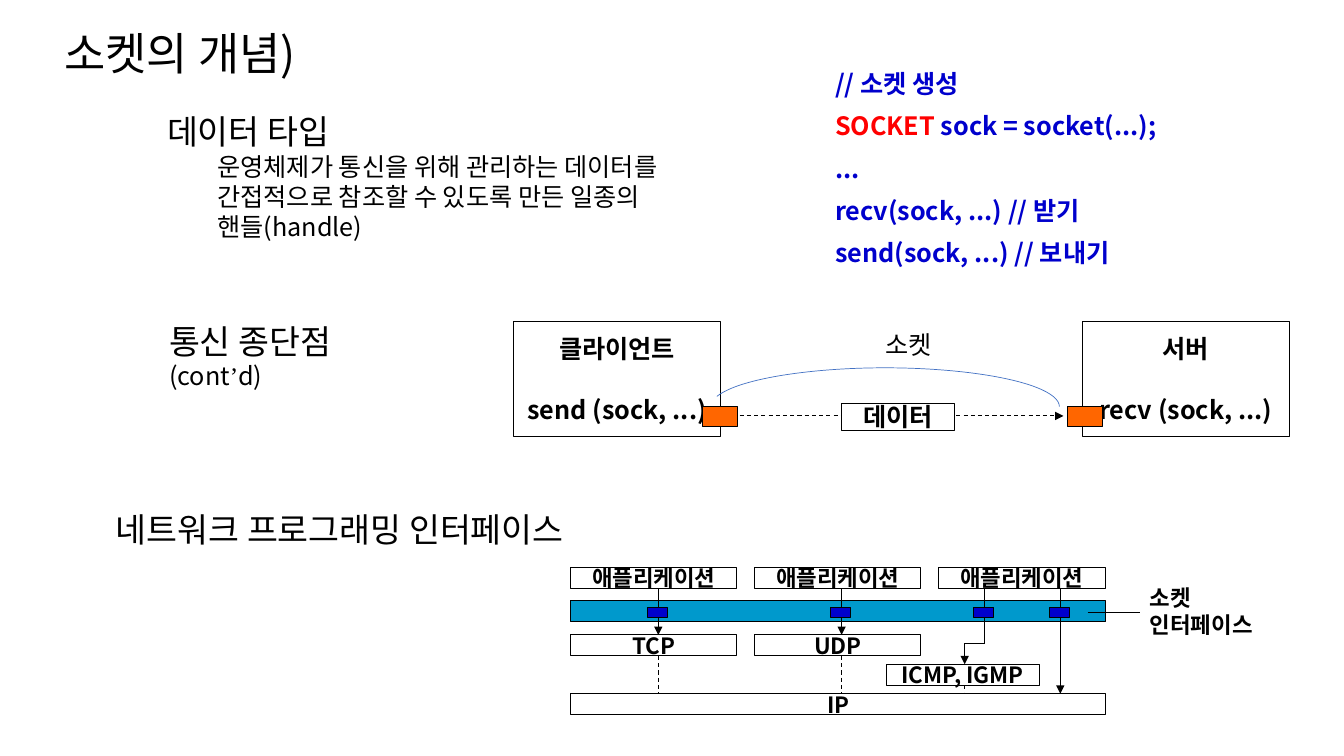
"""Build a slide that explains the concept of a socket."""
import dataclasses

import pptx
import pptx.dml.color
import pptx.enum.dml
import pptx.enum.shapes
import pptx.enum.text
import pptx.oxml.ns
import pptx.util

Cm, Pt = pptx.util.Cm, pptx.util.Pt
RGB = pptx.dml.color.RGBColor.from_string
MSO_SHAPE = pptx.enum.shapes.MSO_SHAPE
ALIGN = pptx.enum.text.PP_ALIGN
ANCHOR = pptx.enum.text.MSO_ANCHOR
qn = pptx.oxml.ns.qn


@dataclasses.dataclass(frozen=True)
class Theme:
    """Fonts, colours and type sizes."""
    font: str = "Noto Sans CJK KR"
    quote_font: str = "Times New Roman"
    ink: str = "000000"
    paper: str = "FFFFFF"
    code: str = "0000CC"
    keyword: str = "FF0000"
    endpoint: str = "FF6600"
    band: str = "0099CC"
    port: str = "0000CC"
    arc: str = "4472C4"
    title: int = 32
    heading: int = 24
    body: int = 18
    label: int = 16


T = Theme()


def style_run(r, size, color=T.ink, bold=False, font=T.font):
    """Format one run, for Latin and East Asian text."""
    r.font.size, r.font.bold, r.font.name = Pt(size), bold, font
    r.font.color.rgb = RGB(color)
    latin = r._r.get_or_add_rPr().find(qn("a:latin"))
    latin.addnext(latin.makeelement(qn("a:ea"), {"typeface": font}))


def style_frame(tf, size, **look):
    """Format every run of a text frame."""
    for p in tf.paragraphs:
        for r in p.runs:
            style_run(r, size, **look)


def add_text(shapes, box, text, size, wrap=True, **look):
    """Add a text box and return its frame."""
    tf = shapes.add_textbox(*map(Cm, box)).text_frame
    tf.word_wrap = wrap
    if not wrap:
        tf.vertical_anchor = ANCHOR.MIDDLE
    tf.text = text
    style_frame(tf, size, **look)
    return tf


def add_box(shapes, box, text="", size=T.label, fill=None):
    """Add an outlined rectangle with a centred bold label."""
    sp = shapes.add_shape(MSO_SHAPE.RECTANGLE, *map(Cm, box))
    sp.shadow.inherit = False
    if fill:
        sp.fill.solid()
        sp.fill.fore_color.rgb = RGB(fill)
    else:
        sp.fill.background()
    sp.line.color.rgb, sp.line.width = RGB(T.ink), Pt(0.75)
    if text:
        tf = sp.text_frame
        tf.word_wrap, tf.vertical_anchor = False, ANCHOR.MIDDLE
        tf.text = text
        for p in tf.paragraphs:
            p.alignment = ALIGN.CENTER
        style_frame(tf, size, bold=True)
    return sp


def add_line(shapes, x1, y1, x2, y2, dash=False, arrow=False):
    """Add a thin straight line, optionally dashed or with an arrowhead."""
    c = shapes.add_connector(pptx.enum.shapes.MSO_CONNECTOR.STRAIGHT,
                             Cm(x1), Cm(y1), Cm(x2), Cm(y2))
    c.line.color.rgb, c.line.width = RGB(T.ink), Pt(0.75)
    if dash:
        c.line.dash_style = pptx.enum.dml.MSO_LINE.DASH
    spPr = c._element.spPr
    if arrow:
        ln = spPr.find(qn("a:ln"))
        ln.append(ln.makeelement(qn("a:tailEnd"), {"type": "triangle"}))
    spPr.append(spPr.makeelement(qn("a:effectLst"), {}))


def add_title(s, box, text):
    """Place and format the title placeholder."""
    sp = s.shapes.title
    sp.left, sp.top, sp.width, sp.height = map(Cm, box)
    tf = sp.text_frame
    tf.text = text
    tf.word_wrap, tf.vertical_anchor = True, ANCHOR.TOP
    tf.auto_size = pptx.enum.text.MSO_AUTO_SIZE.NONE
    tf.paragraphs[0].alignment = ALIGN.LEFT
    style_frame(tf, T.title)


def add_explanations(s):
    """Add the headings and their explanations."""
    tf = add_text(s.shapes, (3.96, 2.67, 13.06, 3.58), "데이터 타입", T.heading)
    p = tf.add_paragraph()
    p.text = "운영체제가 통신을 위해 관리하는 데이터를 간접적으로 참조할 수 있도록 만든 일종의 핸들(handle)"
    p.level = 1
    pPr = p._p.get_or_add_pPr()
    pPr.set("marL", str(Cm(1.27)))
    pPr.set("indent", "0")
    style_run(p.runs[0], T.body)

    tf = add_text(s.shapes, (4.01, 7.95, 5.84, 2.06), "통신 종단점", T.heading)
    for text, font in (("(cont", T.font), ("’", T.quote_font), ("d)", T.font)):
        r = tf.paragraphs[0].add_run()
        r.text = text
        style_run(r, T.body, font=font)

    add_text(s.shapes, (2.67, 12.7, 14.38, 1.27), "네트워크 프로그래밍 인터페이스", T.heading)


def add_code(s):
    """Add the socket code sample."""
    lines = (" // 소켓 생성", " SOCKET", " ...",
             " recv(sock, ...) // 받기", " send(sock, ...) // 보내기")
    tf = add_text(s.shapes, (20.65, 1.8, 9.07, 4.57), "\n".join(lines),
                  T.body, wrap=False, color=T.code, bold=True)
    for p in tf.paragraphs:
        p.line_spacing = 1.4
    p = tf.paragraphs[1]
    p.runs[0].font.color.rgb = RGB(T.keyword)
    r = p.add_run()
    r.text = " sock = socket(...);"
    style_run(r, T.body, T.code, True)


def add_endpoints(s):
    """Draw the client and server joined through their sockets."""
    shapes = s.shapes.add_group_shape().shapes
    add_line(shapes, 18.64, 10.48, 26.8, 10.48, dash=True, arrow=True)
    for x, text in ((12.95, "클라이언트\nsend (sock, ...)"),
                    (27.28, "서버\nrecv (sock, ...)")):
        sp = add_box(shapes, (x, 8.1, 5.21, 2.9), text, T.body)
        sp.text_frame.paragraphs[1].space_before = Pt(21.5)
    add_box(shapes, (21.21, 10.16, 2.84, 0.69), "데이터", T.body, T.paper)
    for x in (17.7, 26.9):
        add_box(shapes, (x, 10.24, 0.89, 0.51), fill=T.endpoint)

    arc = s.shapes.add_shape(MSO_SHAPE.ARC, *map(Cm, (17.91, 9.27, 8.79, 1.96)))
    arc.shadow.inherit = False
    arc.adjustments[0], arc.adjustments[1] = 110.11, 0
    arc.fill.background()
    arc.line.color.rgb, arc.line.width = RGB(T.arc), Pt(0.5)
    add_text(s.shapes, (22.07, 8.18, 1.8, 1.8), "소켓", T.body)


def add_stack(s):
    """Draw the protocol stack beneath the socket interface."""
    shapes = s.shapes.add_group_shape().shapes
    left, pitch, wide, full, high = 14.38, 4.64, 4.19, 13.49, 0.53
    app, band, transport, control, ip = 14.3, 15.14, 16, 16.74, 17.48
    tcp_x, udp_x, icmp_x, raw_x = 16.59, 21.21, 24.82, 26.72
    bend_x, bend_y = 24.31, 16.21

    for i in range(3):
        add_box(shapes, (left + i * pitch, app, wide, high), "애플리케이션")
    for i, text in enumerate(("TCP", "UDP")):
        add_box(shapes, (left + i * pitch, transport, wide, high), text)
    add_box(shapes, (22.33, control, 3.86, high), "ICMP, IGMP")
    add_box(shapes, (left, ip, full, high), "IP")
    add_box(shapes, (left, band, full, high), fill=T.band)

    for x, end in ((tcp_x, transport), (udp_x, transport), (raw_x, ip)):
        add_line(shapes, x, app + high, x, end, arrow=True)
    add_line(shapes, icmp_x, app + high, icmp_x, bend_y)
    add_line(shapes, bend_x, bend_y, icmp_x, bend_y)
    add_line(shapes, bend_x, bend_y, bend_x, control, arrow=True)
    for x, start in ((tcp_x, transport), (udp_x, transport), (bend_x, control)):
        add_line(shapes, x, start + high, x, ip, dash=True)
    for x in (tcp_x, udp_x, icmp_x, raw_x):
        add_box(shapes, (x - 0.28, 15.3, 0.51, 0.25), fill=T.port)

    add_line(shapes, 27.41, 15.44, 28.73, 15.44)
    add_text(shapes, (28.73, band, 3.76, high), "소켓 인터페이스",
             T.label, wrap=False, bold=True)


def main():
    """Build and save the slide."""
    prs = pptx.Presentation()
    prs.slide_width, prs.slide_height = Cm(33.87), Cm(19.05)
    s = prs.slides.add_slide(prs.slide_layouts[5])
    add_title(s, (1.12, 0.53, 7.57, 1.63), " 소켓의 개념)")
    add_explanations(s)
    add_code(s)
    add_endpoints(s)
    add_stack(s)
    prs.save("out.pptx")


main()
